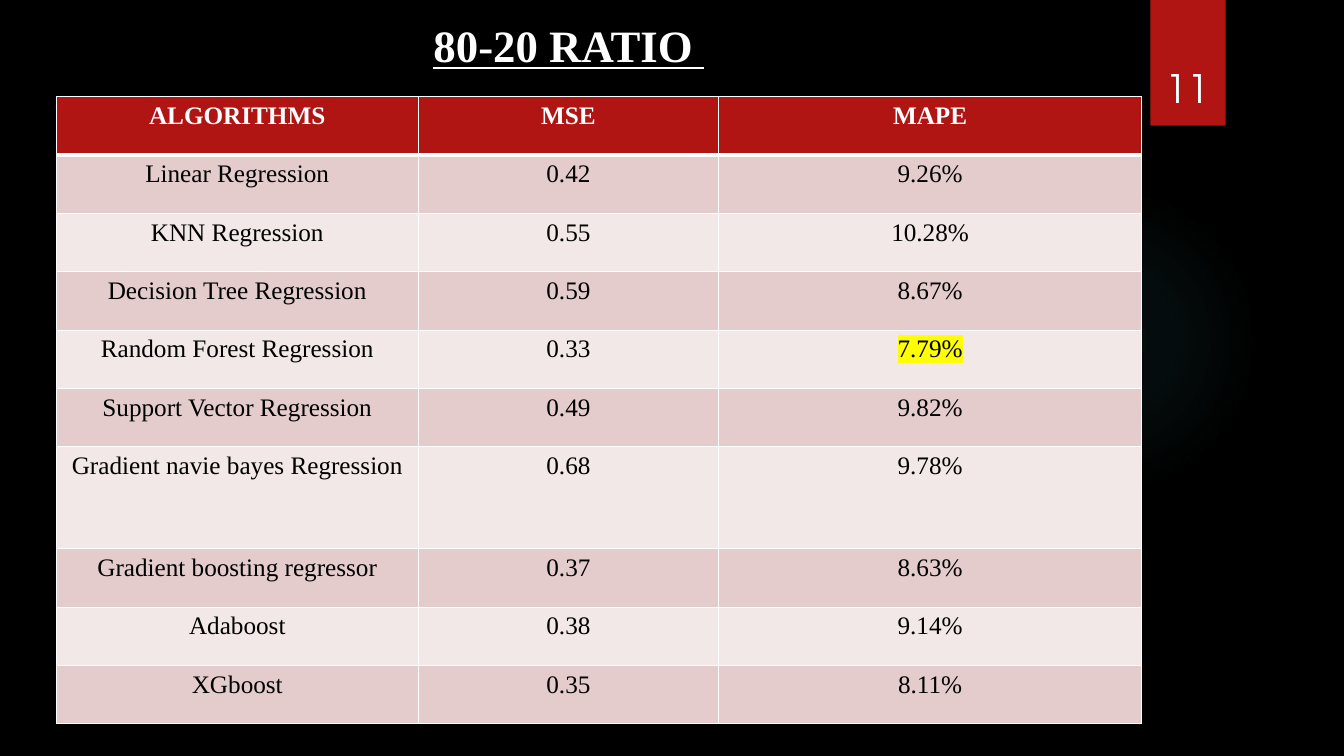
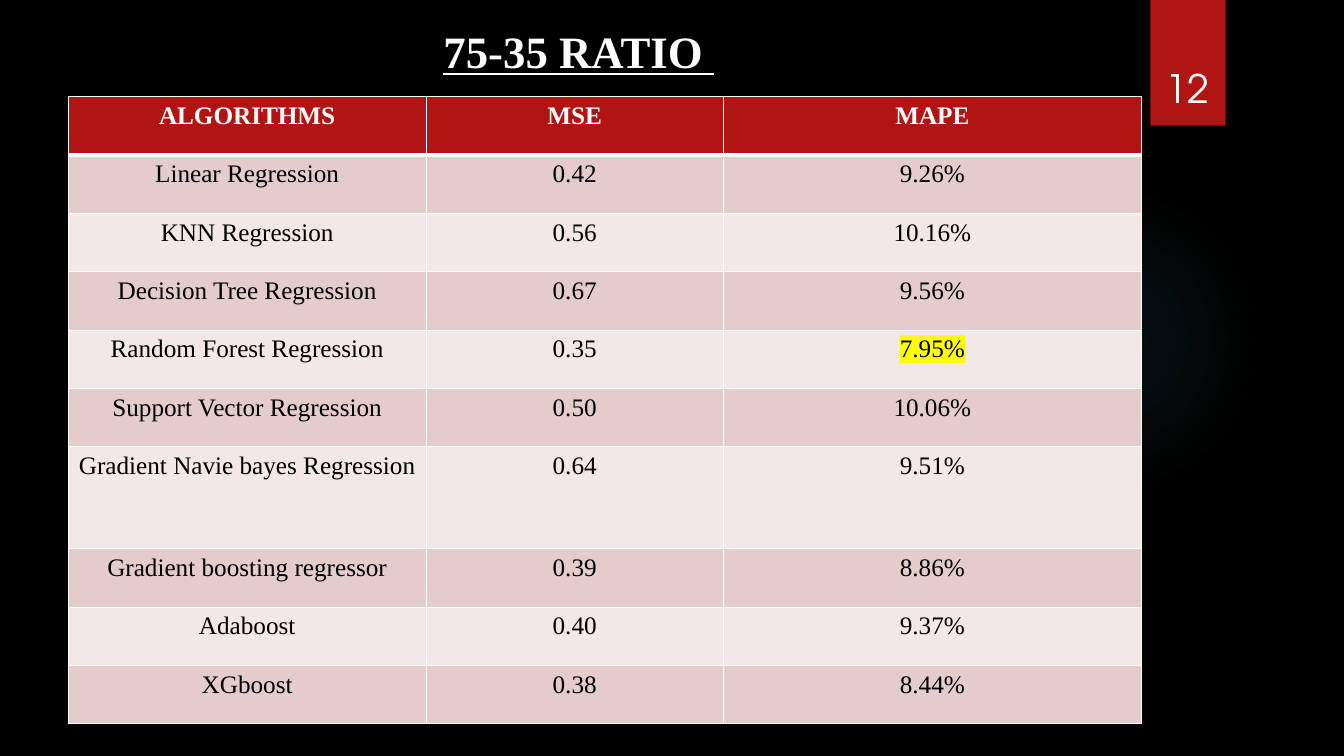
from dataclasses import dataclass

from pptx import Presentation
from pptx.dml.color import RGBColor
from pptx.enum.shapes import MSO_SHAPE
from pptx.enum.text import MSO_ANCHOR, PP_ALIGN
from pptx.oxml import parse_xml
from pptx.oxml.ns import nsdecls, qn
from pptx.util import Cm, Pt

RECT, OVAL = MSO_SHAPE.RECTANGLE, MSO_SHAPE.OVAL
TOP, BOTTOM = MSO_ANCHOR.TOP, MSO_ANCHOR.BOTTOM
LEFT, CENTER = PP_ALIGN.LEFT, PP_ALIGN.CENTER
TITLE_ONLY = 5


@dataclass(frozen=True)
class Theme:
    background: str = "000000"
    light: str = "FFFFFF"
    dark: str = "000000"
    accent: str = "B01513"
    bands: tuple = ("E4CCCC", "F2E8E7")
    highlight: str = "FFFF00"
    glow: str = "50B9C1"
    glow_stops: tuple = ((0, 7), (36, 6), (69, 0))  # position and opacity, %
    text_font: str = "Times New Roman"
    number_font: str = "TeX Gyre Adventor"
    title_size: int = 32
    number_size: int = 28
    cell_size: int = 18
    rule: int = 1
    header_rule: int = 3


# Table geometry in centimetres
TABLE_TOP, TABLE_RIGHT = 2.44, 28.77
COLUMN_WEIGHTS = (9.12, 7.57, 10.66)
ROW_HEIGHT, TALL_ROW_HEIGHT, TALL_ROW = 1.47, 2.57, 6

HEADER = ("ALGORITHMS", "MSE", "MAPE")
RATIO_80_20 = (
    ("Linear Regression", "0.42", "9.26%"),
    ("KNN Regression", "0.55", "10.28%"),
    ("Decision Tree Regression", "0.59", "8.67%"),
    ("Random Forest Regression", "0.33", "7.79%"),
    ("Support Vector Regression", "0.49", "9.82%"),
    ("Gradient navie bayes Regression", "0.68", "9.78%"),
    ("Gradient boosting regressor", "0.37", "8.63%"),
    ("Adaboost", "0.38", "9.14%"),
    ("XGboost", "0.35", "8.11%"),
)
RATIO_75_35 = (
    ("Linear Regression", "0.42", "9.26%"),
    ("KNN Regression", "0.56", "10.16%"),
    ("Decision Tree Regression", "0.67", "9.56%"),
    ("Random Forest Regression", "0.35", "7.95%"),
    ("Support Vector Regression", "0.50", "10.06%"),
    ("Gradient Navie bayes Regression", "0.64", "9.51%"),
    ("Gradient boosting regressor", "0.39", "8.86%"),
    ("Adaboost", "0.40", "9.37%"),
    ("XGboost", "0.38", "8.44%"),
)


class Deck:
    def __init__(self, theme):
        self.theme = theme
        self.slide = None
        self.prs = Presentation()
        self.prs.slide_width, self.prs.slide_height = Cm(33.87), Cm(19.05)
        fill = self.prs.slide_master.background.fill
        fill.solid()
        fill.fore_color.rgb = RGBColor.from_string(theme.background)

    def new_slide(self, number):
        """Start a slide with the glow and the numbered band."""
        layout = self.prs.slide_layouts[TITLE_ONLY]
        self.slide = self.prs.slides.add_slide(layout)
        self.glow()
        self.band()
        self.page_number(number)

    def shape(self, kind, left, top, width, height):
        sp = self.slide.shapes.add_shape(
            kind, Cm(left), Cm(top), Cm(width), Cm(height))
        sp.shadow.inherit = False
        sp.line.fill.background()
        return sp

    def glow(self):
        sp = self.shape(OVAL, 23.9, 4.65, 7.82, 7.82)
        sp.fill.background()
        stops = "".join(
            f'<a:gs pos="{pos * 1000}"><a:srgbClr val="{self.theme.glow}">'
            f'<a:alpha val="{alpha * 1000}"/></a:srgbClr></a:gs>'
            for pos, alpha in self.theme.glow_stops)
        gradient = parse_xml(
            f'<a:gradFill {nsdecls("a")}><a:gsLst>{stops}</a:gsLst>'
            '<a:path path="circle"><a:fillToRect l="50000" t="50000" '
            'r="50000" b="50000"/></a:path></a:gradFill>')
        props = sp.element.spPr
        props.replace(props.find(qn("a:noFill")), gradient)

    def band(self):
        sp = self.shape(RECT, 28.99, 0, 1.9, 3.17)
        sp.fill.solid()
        sp.fill.fore_color.rgb = RGBColor.from_string(self.theme.accent)

    def page_number(self, number):
        box = self.slide.shapes.add_textbox(
            Cm(28.76), Cm(0.81), Cm(2.34), Cm(2.13))
        tf = box.text_frame
        tf.word_wrap = True
        tf.vertical_anchor = BOTTOM
        self.set_text(tf, str(number), self.theme.number_size,
                      self.theme.light, font=self.theme.number_font)

    def set_text(self, tf, text, size, color, bold=False, align=CENTER,
                 font=None):
        """Fill the first paragraph of a text frame and return it."""
        p = tf.paragraphs[0]
        p.add_run().text = text
        p.alignment = align
        p.font.name = font or self.theme.text_font
        p.font.size = Pt(size)
        p.font.bold = bold
        p.font.color.rgb = RGBColor.from_string(color)
        return p

    def title(self, text, left, top, width):
        sp = self.slide.shapes.title
        sp.left, sp.top, sp.width, sp.height = (
            Cm(left), Cm(top), Cm(width), Cm(1.62))
        tf = sp.text_frame
        tf.word_wrap = True
        tf.vertical_anchor = TOP
        p = self.set_text(tf, text, self.theme.title_size, self.theme.light,
                          bold=True, align=LEFT)
        p.font.underline = True

    def table(self, rows, width, best):
        """Add the results, marking the cell whose text is best."""
        lines = (HEADER, *rows)
        height = ROW_HEIGHT * len(rows) + TALL_ROW_HEIGHT
        table = self.slide.shapes.add_table(
            len(lines), len(HEADER), Cm(TABLE_RIGHT - width), Cm(TABLE_TOP),
            Cm(width), Cm(height)).table
        for column, weight in zip(table.columns, COLUMN_WEIGHTS):
            column.width = Cm(width * weight / sum(COLUMN_WEIGHTS))
        for i, line in enumerate(lines):
            table.rows[i].height = Cm(
                TALL_ROW_HEIGHT if i == TALL_ROW else ROW_HEIGHT)
            for j, text in enumerate(line):
                p = self.cell(table.cell(i, j), text, i)
                if text == best:
                    self.mark(p.runs[0])

    def cell(self, cell, text, row):
        theme = self.theme
        header = row == 0
        self.borders(cell, row)
        cell.fill.solid()
        cell.fill.fore_color.rgb = RGBColor.from_string(
            theme.accent if header else theme.bands[(row - 1) % 2])
        return self.set_text(cell.text_frame, text, theme.cell_size,
                             theme.light if header else theme.dark,
                             bold=header)

    def borders(self, cell, row):
        theme = self.theme
        thick_side = {0: "lnB", 1: "lnT"}.get(row)
        props = cell._tc.get_or_add_tcPr()
        for side in ("lnL", "lnR", "lnT", "lnB"):
            points = theme.header_rule if side == thick_side else theme.rule
            props.append(parse_xml(
                f'<a:{side} {nsdecls("a")} w="{Pt(points)}"><a:solidFill>'
                f'<a:srgbClr val="{theme.light}"/></a:solidFill></a:{side}>'))

    def mark(self, r):
        """Highlight a run."""
        r.font._element.append(parse_xml(
            f'<a:highlight {nsdecls("a")}>'
            f'<a:srgbClr val="{self.theme.highlight}"/></a:highlight>'))


def main():
    deck = Deck(Theme())

    deck.new_slide(11)
    deck.title("80-20 RATIO ", 10.67, 0.33, 17.8)
    deck.table(RATIO_80_20, 27.35, best="7.79%")

    deck.new_slide(12)
    deck.title("75-35 RATIO ", 10.92, 0.48, 19.35)
    deck.table(RATIO_75_35, 27.05, best="7.95%")

    deck.prs.save("out.pptx")


if __name__ == "__main__":
    main()
